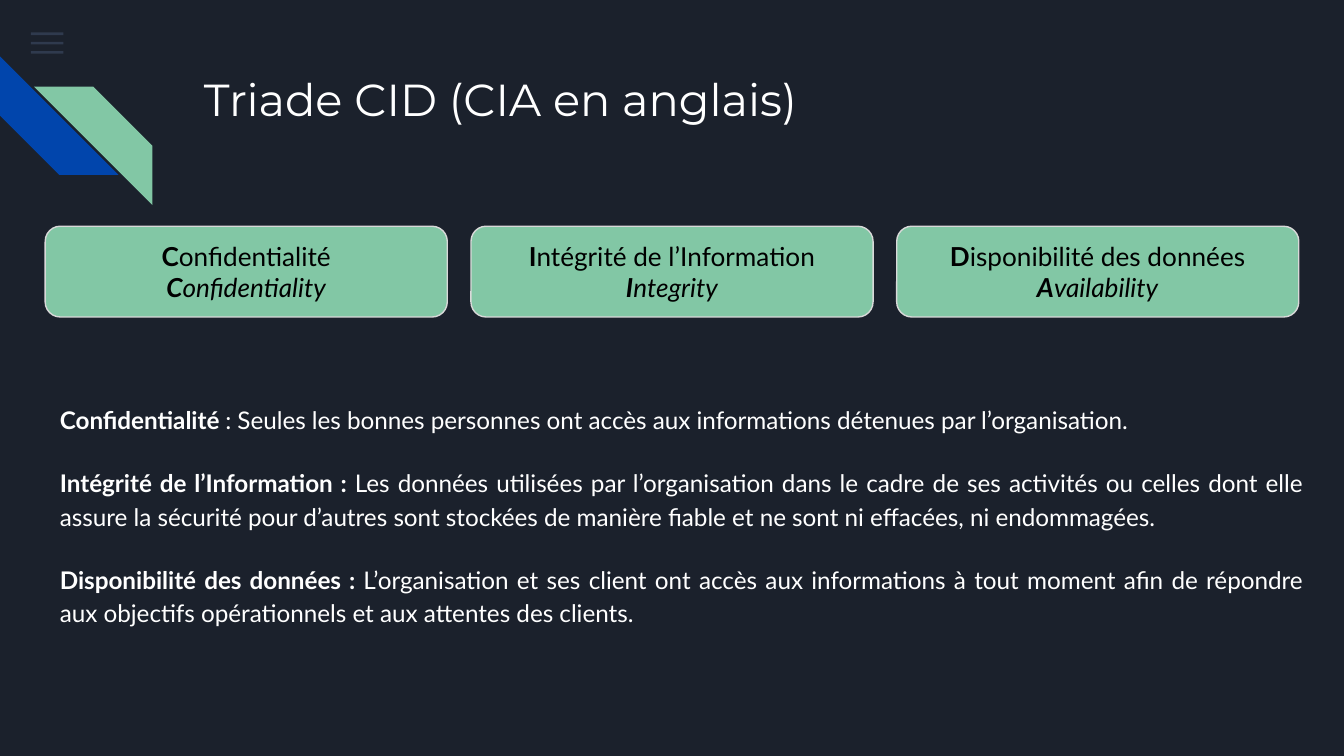
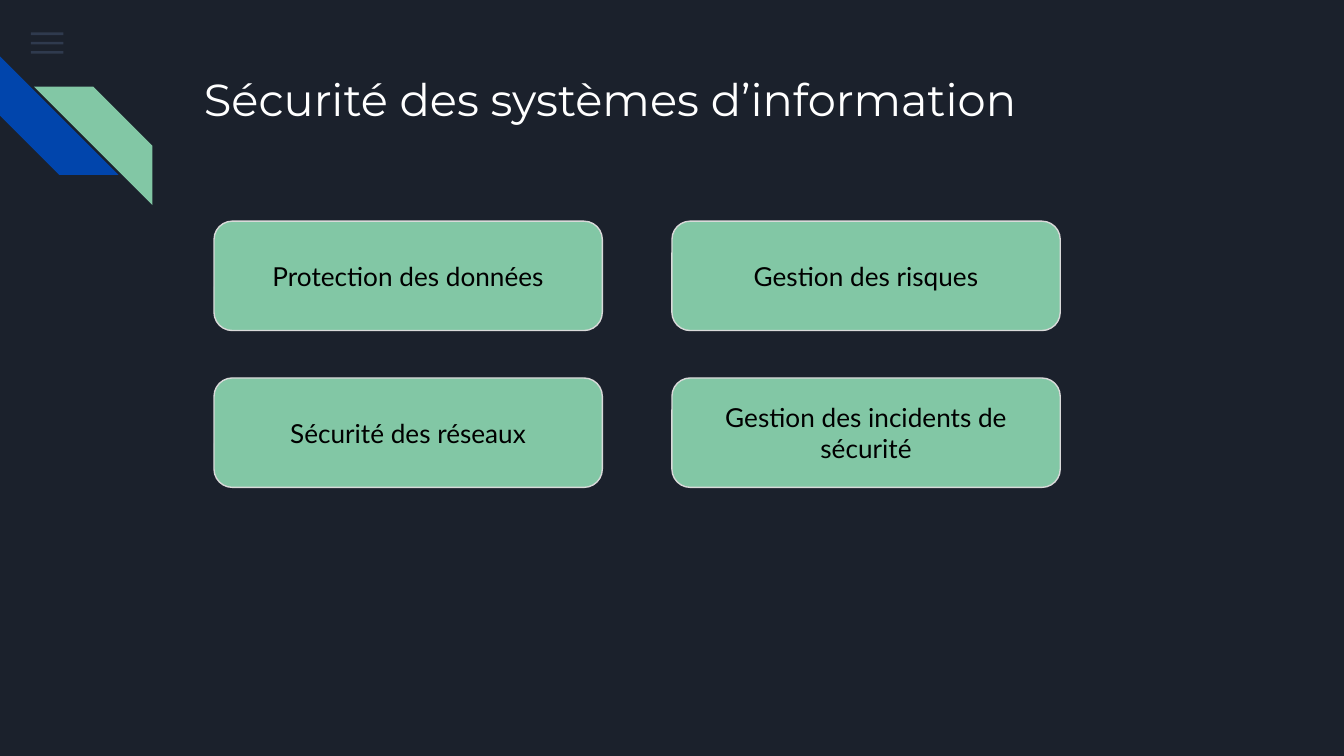
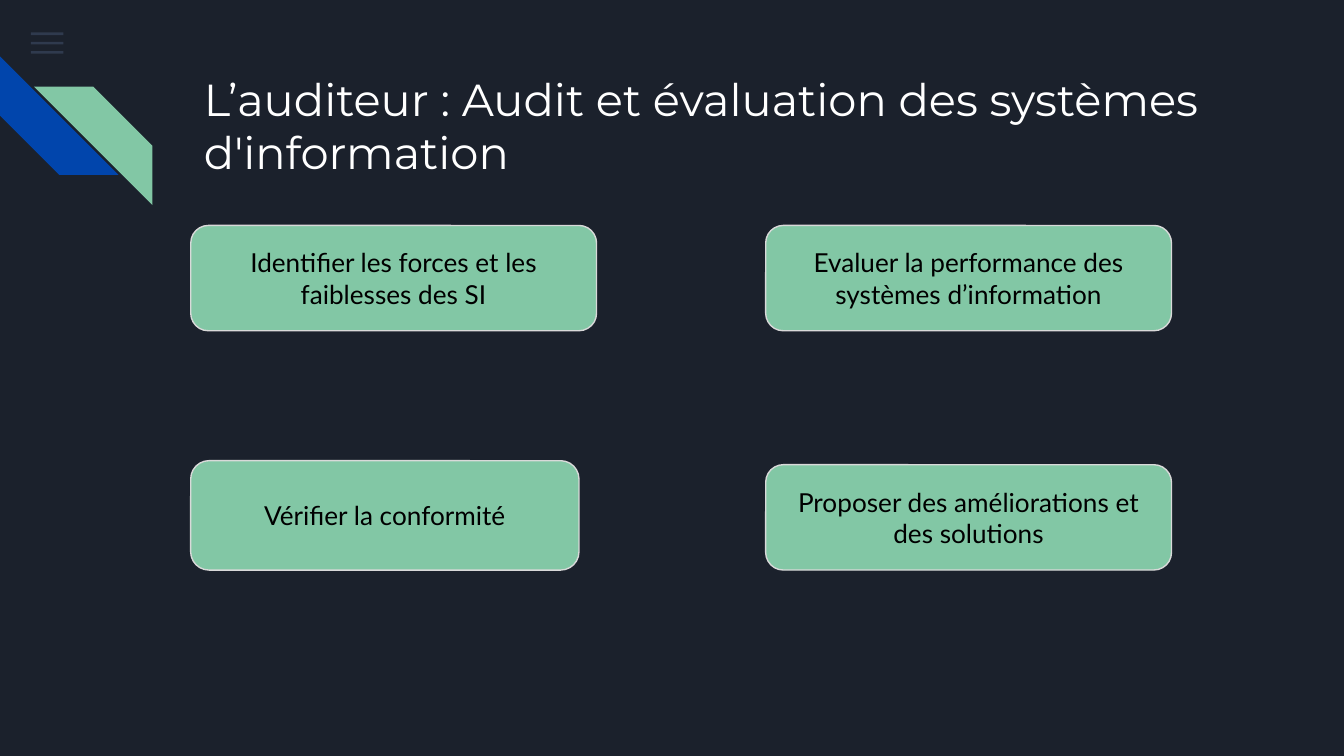
import pptx
import pptx.dml.color
import pptx.enum.shapes
import pptx.enum.text
import pptx.oxml
import pptx.oxml.ns
import pptx.util

Pt = pptx.util.Pt
SHAPES = pptx.enum.shapes.MSO_SHAPE
ALIGN = pptx.enum.text.PP_ALIGN
ANCHOR = pptx.enum.text.MSO_ANCHOR

NIGHT = "1B212C"
SLATE = "55688B"
BLUE = "0145AC"
GREEN = "82C7A5"
SILVER = "D9D9D9"
WHITE = "FFFFFF"
BLACK = "000000"
TITLE_FONT = "Montserrat"
TEXT_FONT = "Lato"

TRIAD = [
    ("Confidentialité", "Confidentiality"),
    ("Intégrité de l’Information", "Integrity"),
    ("Disponibilité des données", "Availability"),
]
DEFINITIONS = [
    ("Confidentialité ",
     ": Seules les bonnes personnes ont accès aux informations détenues par l’organisation."),
    ("Intégrité de l’Information :",
     " Les données utilisées par l’organisation dans le cadre de ses activités ou celles dont "
     "elle assure la sécurité pour d’autres sont stockées de manière fiable et ne sont ni "
     "effacées, ni endommagées."),
    ("Disponibilité des données : ",
     "L’organisation et ses client ont accès aux informations à tout moment afin de répondre "
     "aux objectifs opérationnels et aux attentes des clients."),
]
SECURITY_TOPICS = [
    ["Protection des données", "Gestion des risques"],
    ["Sécurité des réseaux", "Gestion des incidents de sécurité"],
]
AUDITOR_TASKS = [
    ("Identifier les forces et les faiblesses des SI", 102.2, 120.8, 217.4, 56.4),
    ("Vérifier la conformité", 102.2, 246.8, 208, 58.6),
    ("Evaluer la performance des systèmes d’information", 410.2, 120.8, 217.4, 56.4),
    ("Proposer des améliorations et des solutions", 410.2, 249, 217.4, 56.4),
]


def paint(fill, color):
    fill.solid()
    fill.fore_color.rgb = pptx.dml.color.RGBColor.from_string(color)


def add_plain_shape(page, kind, left, top, width, height, color):
    shape = page.shapes.add_shape(kind, Pt(left), Pt(top), Pt(width), Pt(height))
    shape.shadow.inherit = False
    shape.line.fill.background()
    paint(shape.fill, color)
    return shape


def set_opacity(shape, percent):
    color = shape.fill._xPr.find(".//" + pptx.oxml.ns.qn("a:srgbClr"))
    alpha = pptx.oxml.parse_xml(
        f'<a:alpha {pptx.oxml.ns.nsdecls("a")} val="{percent * 1000}"/>')
    color.append(alpha)


def write_paragraphs(box, paragraphs, size, font, color, align, anchor):
    """Fill a box with paragraphs, each a list of (text, bold, italic) spans."""
    frame = box.text_frame
    frame.word_wrap = True
    frame.vertical_anchor = anchor
    frame.margin_left = frame.margin_right = Pt(7.2)
    frame.margin_top = frame.margin_bottom = Pt(7.2)
    for index, spans in enumerate(paragraphs):
        para = frame.add_paragraph() if index else frame.paragraphs[0]
        para.alignment = align
        for text, bold, italic in spans:
            span = para.add_run()
            span.text = text
            span.font.size = Pt(size)
            span.font.name = font
            span.font.bold = bold
            span.font.italic = italic
            paint(span.font.fill, color)


def add_text(page, left, top, width, height, paragraphs, size, font, align):
    box = page.shapes.add_textbox(Pt(left), Pt(top), Pt(width), Pt(height))
    write_paragraphs(box, paragraphs, size, font, WHITE, align, ANCHOR.TOP)
    return box


def add_card(page, left, top, width, height, paragraphs):
    card = add_plain_shape(page, SHAPES.ROUNDED_RECTANGLE, left, top, width, height, GREEN)
    card.line.width = Pt(0.75)
    paint(card.line.fill, SILVER)
    write_paragraphs(card, paragraphs, 14, TEXT_FONT, BLACK, ALIGN.CENTER, ANCHOR.MIDDLE)


def add_label_card(page, label, left, top, width, height):
    add_card(page, left, top, width, height, [[(label, False, False)]])


def add_page(deck, title):
    """Add a page with the menu bars, corner stripes and title."""
    page = deck.slides.add_slide(deck.slide_layouts[6])
    for row in range(3):
        bar = add_plain_shape(page, SHAPES.RECTANGLE, 16.6, 17.4 + 5 * row, 17.4, 1.4, SLATE)
        set_opacity(bar, 36)
    for left, top, angle, color in [(0, 30.2, 270, BLUE), (18.2, 46.4, 90, GREEN)]:
        stripe = add_plain_shape(page, SHAPES.DIAGONAL_STRIPE, left, top, 63.5, 63.5, color)
        stripe.rotation = angle
    add_text(page, 102.2, 31, 554.4, 72, [[(title, False, False)]], 24, TITLE_FONT, ALIGN.LEFT)
    return page


def add_definitions(page):
    paragraphs = [[(term, True, False), (meaning, False, False)] for term, meaning in DEFINITIONS]
    box = add_text(page, 25, 207.4, 679.7, 150.5, paragraphs, 13, TEXT_FONT, ALIGN.JUSTIFY)
    for index, para in enumerate(box.text_frame.paragraphs):
        para.line_spacing = 1.15
        if index:
            para.space_before = Pt(16)


def build_triad(deck):
    page = add_page(deck, "Triade CID (CIA en anglais)")
    add_definitions(page)
    for column, (french, english) in enumerate(TRIAD):
        paragraphs = [
            [(word[0], True, italic), (word[1:], False, italic)]
            for word, italic in [(french, False), (english, True)]
        ]
        add_card(page, 24.2 + 228.1 * column, 121.2, 215.4, 48.6, paragraphs)


def build_security(deck):
    page = add_page(deck, "Sécurité des systèmes d’information")
    for row, labels in enumerate(SECURITY_TOPICS):
        for column, label in enumerate(labels):
            add_label_card(page, label, 114.7 + 245.3 * column, 118.5 + 84 * row, 208, 58.6)


def build_auditor(deck):
    page = add_page(deck, "L’auditeur : Audit et évaluation des systèmes d'information")
    for label, left, top, width, height in AUDITOR_TASKS:
        add_label_card(page, label, left, top, width, height)


def main():
    deck = pptx.Presentation()
    deck.slide_width, deck.slide_height = Pt(720), Pt(405)
    paint(deck.slide_master.background.fill, NIGHT)
    build_triad(deck)
    build_security(deck)
    build_auditor(deck)
    deck.save("out.pptx")


if __name__ == "__main__":
    main()
